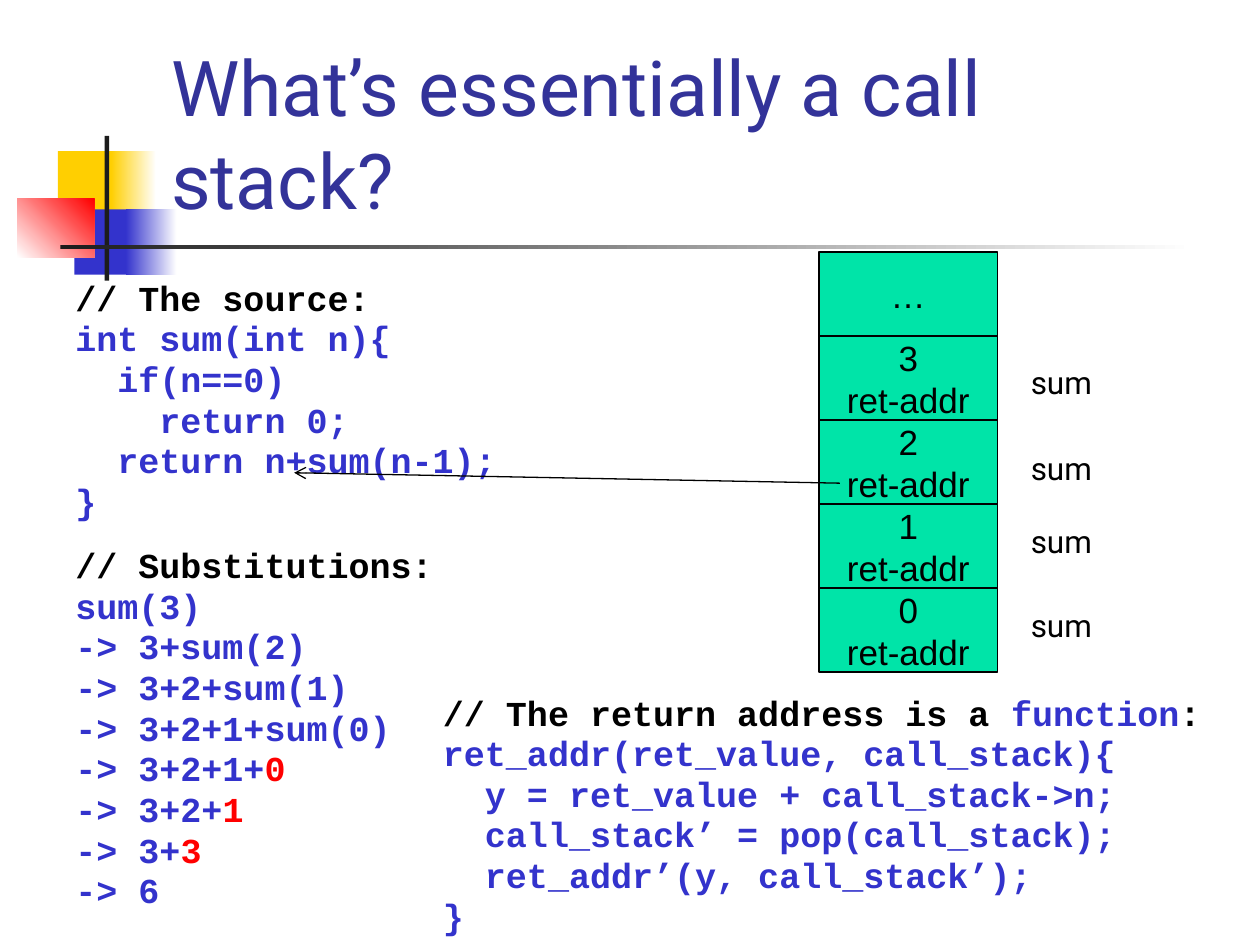
from dataclasses import dataclass

from lxml import etree
from pptx import Presentation
from pptx.dml.color import RGBColor as Rgb
from pptx.enum.shapes import MSO_CONNECTOR as Link, MSO_SHAPE as Preset
from pptx.enum.text import MSO_ANCHOR as Anchor, MSO_AUTO_SIZE as Fit, PP_ALIGN as Align
from pptx.oxml.ns import qn
from pptx.util import Cm, Pt


@dataclass(frozen=True)
class Theme:
    black: str = "000000"
    white: str = "FFFFFF"
    ink: str = "1C1C1C"
    yellow: str = "FFCF01"
    blue: str = "3333CC"
    red: str = "FF0000"
    title: str = "333399"
    green: str = "00E4A8"
    heading_font: str = "Roboto"
    code_font: str = "Courier New"
    stack_font: str = "Arial"
    title_size: int = 44
    code_size: int = 20
    label_size: int = 18
    hairline: float = 0.75


THEME = Theme()


def write(frame, lines, *, font, size, color=THEME.black, bold=False,
          align=Align.LEFT, spacing=None, before=0, hanging=0):
    for number, line in enumerate(lines):
        paragraph = frame.paragraphs[0] if number == 0 else frame.add_paragraph()
        paragraph.alignment = align
        if spacing:
            paragraph.line_spacing = spacing
        if before and number:
            paragraph.space_before = Pt(before)
        if hanging:
            properties = paragraph._p.get_or_add_pPr()
            properties.set("marL", str(Cm(hanging)))
            properties.set("indent", str(-Cm(hanging)))
        pieces = [(line, color)] if isinstance(line, str) else line
        for words, tint in pieces:
            run = paragraph.add_run()
            run.text = words
            run.font.name = font
            run.font.size = Pt(size)
            run.font.bold = bold
            run.font.color.rgb = Rgb.from_string(tint)


class SlideWriter:
    def __init__(self, slide, theme):
        self.slide = slide
        self.theme = theme

    def block(self, left, top, width, height, color, fade_to=None, angle=0, outline=None):
        block = self.slide.shapes.add_shape(
            Preset.RECTANGLE, Cm(left), Cm(top), Cm(width), Cm(height))
        block.shadow.inherit = False
        if fade_to:
            block.fill.gradient()
            block.fill.gradient_angle = angle
            for stop, tint in zip(block.fill.gradient_stops, (color, fade_to)):
                stop.color.rgb = Rgb.from_string(tint)
        else:
            block.fill.solid()
            block.fill.fore_color.rgb = Rgb.from_string(color)
        if outline:
            block.line.color.rgb = Rgb.from_string(outline)
            block.line.width = Pt(self.theme.hairline)
        else:
            block.line.fill.background()
        return block

    def text(self, left, top, width, height, lines, anchor=Anchor.TOP,
             fit=Fit.NONE, **style):
        frame = self.slide.shapes.add_textbox(
            Cm(left), Cm(top), Cm(width), Cm(height)).text_frame
        frame.word_wrap = True
        frame.auto_size = fit
        frame.vertical_anchor = anchor
        write(frame, lines, **style)

    def code(self, left, top, width, height, comment, body):
        heading = comment if isinstance(comment, list) else [(comment, self.theme.black)]
        self.text(left, top, width, height, [heading, *body],
                  font=self.theme.code_font, size=self.theme.code_size,
                  color=self.theme.blue, bold=True, spacing=0.8, before=4, hanging=0.95)

    def stack_frame(self, left, top, width, height, lines):
        frame = self.block(left, top, width, height, self.theme.green,
                           outline=self.theme.black).text_frame
        frame.word_wrap = False
        frame.vertical_anchor = Anchor.MIDDLE
        write(frame, lines, font=self.theme.stack_font, size=self.theme.code_size,
              align=Align.CENTER)

    def arrow(self, start, end):
        arrow = self.slide.shapes.add_connector(
            Link.STRAIGHT, *(Cm(value) for value in (*start, *end)))
        arrow.line.color.rgb = Rgb.from_string(self.theme.black)
        arrow.line.width = Pt(self.theme.hairline)
        etree.SubElement(arrow.line._get_or_add_ln(), qn("a:tailEnd"), type="arrow")
        etree.SubElement(arrow._element.spPr, qn("a:effectLst"))


def main():
    deck = Presentation()
    deck.slide_width, deck.slide_height = Cm(25.4), Cm(19.05)
    page = SlideWriter(deck.slides.add_slide(deck.slide_layouts[6]), THEME)

    page.block(1.17, 3.05, 1.22, 1.32, THEME.yellow)
    page.block(2.24, 3.05, 0.91, 1.32, THEME.yellow, THEME.white)
    page.block(1.5, 4.22, 1.17, 1.32, THEME.blue)
    page.block(2.54, 4.22, 1.02, 1.32, THEME.blue, THEME.white)
    page.block(0.35, 4.01, 1.55, 1.18, THEME.white, THEME.red, angle=45)
    page.block(2.11, 2.74, 0.09, 2.92, THEME.ink)
    page.block(1.22, 4.94, 22.86, 0.09, THEME.ink, THEME.white)

    page.text(3.2, 0.59, 21.64, 4.06, ["What’s essentially a call stack?"],
              anchor=Anchor.BOTTOM, font=THEME.heading_font,
              size=THEME.title_size, color=THEME.title)

    page.code(1.27, 5.61, 9.1, 5.41, "// The source:", [
        "int sum(int n){",
        "  if(n==0)",
        "    return 0;",
        "  return n+sum(n-1);",
        "}",
    ])
    returns = [[(pending, THEME.blue), (value, THEME.red)] for pending, value in
               (("-> 3+2+1+", "0"), ("-> 3+2+", "1"), ("-> 3+", "3"))]
    page.code(1.27, 11, 9.1, 7.42, "// Substitutions:", [
        "sum(3)",
        "-> 3+sum(2)",
        "-> 3+2+sum(1)",
        "-> 3+2+1+sum(0)",
        *returns,
        "-> 6",
    ])

    stack_top, stack_height = 5.08, 8.47
    frames = [["…"], *([argument, "ret-addr"] for argument in "3210")]
    frame_height = stack_height / len(frames)
    for row, lines in enumerate(frames):
        page.stack_frame(16.51, stack_top + row * frame_height, 3.6, frame_height, lines)
    for label_top in (7.19, 8.92, 10.4, 12.09):
        page.text(20.53, label_top, 2.34, 1.02, ["sum"], fit=Fit.SHAPE_TO_FIT_TEXT,
                  font=THEME.heading_font, size=THEME.label_size)
    page.arrow((16.93, 9.74), (5.93, 9.53))

    return_comment = [("// The return address is a ", THEME.black),
                      ("function", THEME.blue), (":", THEME.black)]
    page.code(8.68, 13.97, 16.09, 4.23, return_comment, [
        "ret_addr(ret_value, call_stack){",
        "  y = ret_value + call_stack->n;",
        "  call_stack’ = pop(call_stack);",
        "  ret_addr’(y, call_stack’);",
        "}",
    ])

    deck.save("out.pptx")


if __name__ == "__main__":
    main()
